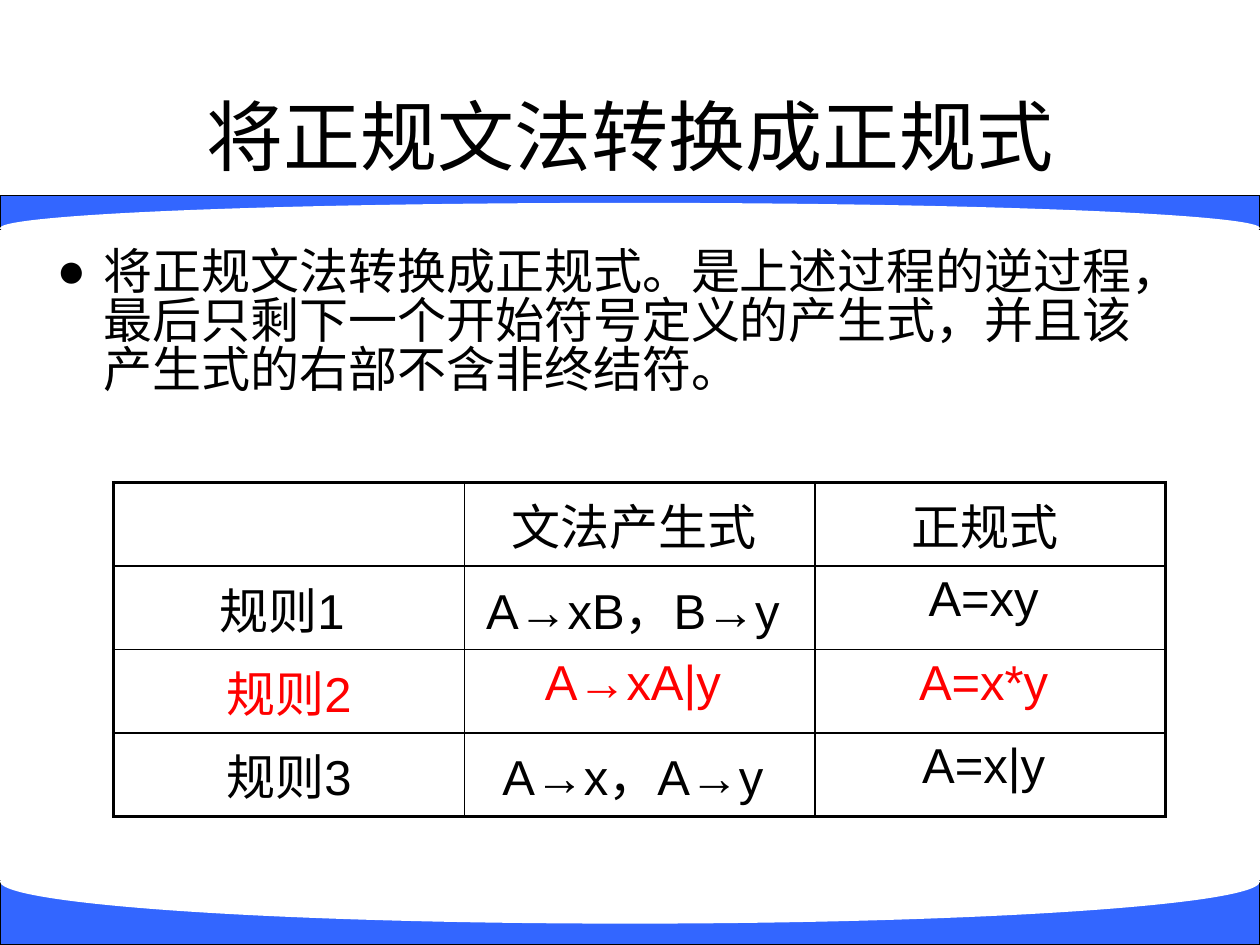
from lxml import etree
from pptx import Presentation
from pptx.dml.color import RGBColor
from pptx.enum.shapes import MSO_SHAPE
from pptx.enum.text import MSO_ANCHOR, MSO_AUTO_SIZE, PP_ALIGN
from pptx.oxml.ns import qn
from pptx.util import Cm, Pt

RECTANGLE, OVAL = MSO_SHAPE.RECTANGLE, MSO_SHAPE.OVAL
TOP, MIDDLE = MSO_ANCHOR.TOP, MSO_ANCHOR.MIDDLE
LEFT, CENTER = PP_ALIGN.LEFT, PP_ALIGN.CENTER
NO_AUTOFIT = MSO_AUTO_SIZE.NONE

BLACK = RGBColor(0x00, 0x00, 0x00)
WHITE = RGBColor(0xFF, 0xFF, 0xFF)
BLUE = RGBColor(0x33, 0x66, 0xFF)
RED = RGBColor(0xFF, 0x00, 0x00)

SLIDE_WIDTH, SLIDE_HEIGHT = Cm(25.4), Cm(19.05)
OUTER_BORDER, INNER_BORDER = Pt(2.25), Pt(1)
TITLE_FONT = {"name": "Arial", "size": Pt(44)}
TEXT_FONT = {"name": "Arial", "size": Pt(28)}

TITLE = "将正规文法转换成正规式"
EXPLANATION = ("将正规文法转换成正规式。是上述过程的逆过程，最后只剩下一个开始符号"
               "定义的产生式，并且该产生式的右部不含非终结符。")
RULES = [
    ["", "文法产生式 ", "正规式 "],
    ["规则1 ", "A→xB，B→y ", "A=xy "],
    ["规则2", "A→xA|y ", "A=x*y "],
    ["规则3", "A→x，A→y ", "A=x|y "],
]
HIGHLIGHTED_RULE = 2


def format_paragraph(paragraph, font_values, color, alignment):
    paragraph.alignment = alignment
    for attribute, value in font_values.items():
        setattr(paragraph.font, attribute, value)
    paragraph.font.color.rgb = color


def add_curved_band(slide, depth, band, curve):
    """Blue band whose edge is cut by a white ellipse, placed at a depth in the stack."""
    group = slide.shapes.add_group_shape()
    for kind, (top, height), color in ((RECTANGLE, band, BLUE), (OVAL, curve, WHITE)):
        part = group.shapes.add_shape(kind, 0, top, SLIDE_WIDTH, height)
        part.shadow.inherit = False
        part.fill.solid()
        part.fill.fore_color.rgb = color
        if kind == RECTANGLE:
            part.line.color.rgb = BLACK
            part.line.width = Pt(0.75)
        else:
            part.line.fill.background()
    slide.shapes._spTree.insert(2 + depth, group._element)


def fill_placeholder(placeholder, box, text, anchor):
    placeholder.left, placeholder.top, placeholder.width, placeholder.height = box
    frame = placeholder.text_frame
    frame.text = text
    frame.auto_size = NO_AUTOFIT
    frame.vertical_anchor = anchor
    return frame.paragraphs[0]


def add_bullet(paragraph, character, indent):
    properties = paragraph._p.get_or_add_pPr()
    properties.set("marL", str(indent))
    properties.set("indent", str(-indent))
    etree.SubElement(properties, qn("a:buChar"), char=character)


def set_cell_border(cell, side, width):
    line = etree.SubElement(cell._tc.get_or_add_tcPr(), qn(f"a:ln{side}"), w=str(width))
    fill = etree.SubElement(line, qn("a:solidFill"))
    etree.SubElement(fill, qn("a:srgbClr"), val=str(BLACK))


def add_rule_table(slide, left, top, column_width, row_height):
    row_count, column_count = len(RULES), len(RULES[0])
    table = slide.shapes.add_table(
        row_count, column_count, left, top,
        column_width * column_count, row_height * row_count).table
    table.first_row = table.horz_banding = False
    for column in table.columns:
        column.width = column_width

    for r, rule in enumerate(RULES):
        color = RED if r == HIGHLIGHTED_RULE else BLACK
        for c, text in enumerate(rule):
            cell = table.cell(r, c)
            cell.text = text
            format_paragraph(cell.text_frame.paragraphs[0], TEXT_FONT, color, CENTER)
            # Thick frame outside, thin lines inside
            on_edge = {"L": c == 0, "R": c == column_count - 1,
                       "T": r == 0, "B": r == row_count - 1}
            for side, outer in on_edge.items():
                set_cell_border(cell, side, OUTER_BORDER if outer else INNER_BORDER)
            cell.fill.background()


def main():
    presentation = Presentation()
    presentation.slide_width, presentation.slide_height = SLIDE_WIDTH, SLIDE_HEIGHT
    slide = presentation.slides.add_slide(presentation.slide_layouts[1])
    title, body = slide.placeholders

    # Bands behind the text
    add_curved_band(slide, 0, band=(Cm(3.94), Cm(0.69)), curve=(Cm(4.09), Cm(1.02)))
    add_curved_band(slide, 1, band=(Cm(17.75), Cm(1.3)), curve=(Cm(16.92), Cm(1.7)))

    # Title
    heading = fill_placeholder(
        title, (Cm(0.84), Cm(1.12), Cm(23.72), Cm(3.18)), TITLE, MIDDLE)
    format_paragraph(heading, TITLE_FONT, BLACK, CENTER)

    # Explanation
    explanation = fill_placeholder(
        body, (Cm(0.89), Cm(4.93), Cm(22.45), Cm(4.22)), EXPLANATION, TOP)
    add_bullet(explanation, "●", Cm(0.95))
    explanation.space_before = Pt(0)
    explanation.line_spacing = 0.83
    format_paragraph(explanation, TEXT_FONT, BLACK, LEFT)

    # Conversion rules
    add_rule_table(slide, Cm(2.29), Cm(9.73), column_width=Cm(7.07), row_height=Cm(1.44))

    presentation.save("out.pptx")


if __name__ == "__main__":
    main()
